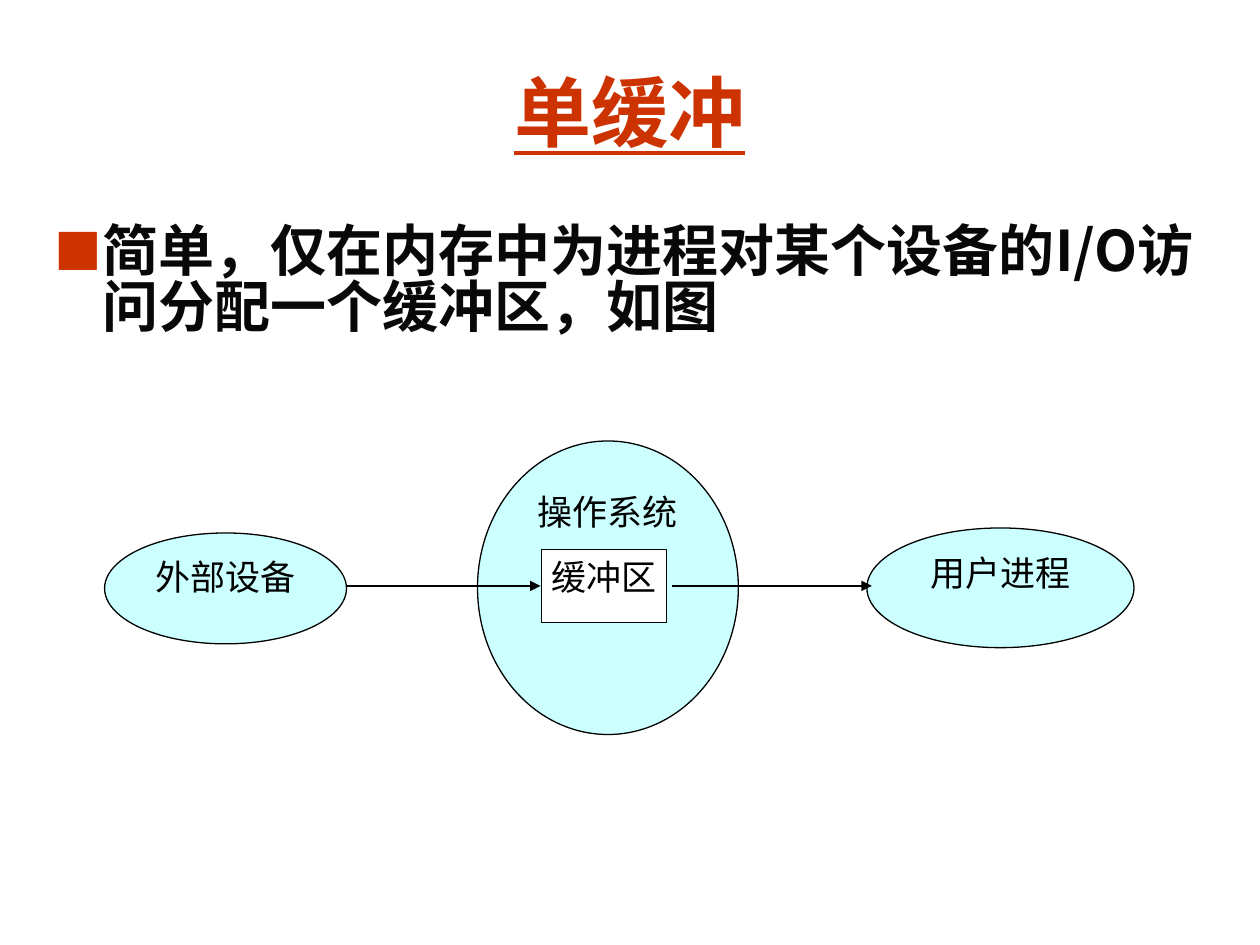
from lxml.etree import SubElement
from pptx import Presentation
from pptx.dml.color import RGBColor
from pptx.enum.shapes import MSO_CONNECTOR, MSO_SHAPE
from pptx.enum.text import MSO_ANCHOR, MSO_AUTO_SIZE, PP_ALIGN
from pptx.oxml.ns import qn
from pptx.util import Inches, Pt

COLORS = {
    "accent": "CC3300",
    "body": "080808",
    "node": "CCFFFF",
    "buffer": "FFFFFF",
    "ink": "000000",
}
CJK_FONT = "Noto Sans CJK SC"


def color(name):
    return RGBColor.from_string(COLORS[name])


class SlideBuilder:
    def __init__(self, deck):
        self.page = deck.slides.add_slide(deck.slide_layouts[1])

    def place(self, box, left, top, width, height):
        box.left, box.top = Inches(left), Inches(top)
        box.width, box.height = Inches(width), Inches(height)

    def style(self, para, size, ink, font=CJK_FONT, bold=False, underline=False):
        for span in para.runs:
            span.font.size = Pt(size)
            span.font.bold = bold
            span.font.underline = underline
            span.font.color.rgb = color(ink)
            span.font.name = font
            SubElement(span.font._element, qn("a:ea"), typeface=CJK_FONT)

    def title(self, text, *bounds):
        box = self.page.shapes.title
        self.place(box, *bounds)
        frame = box.text_frame
        frame.text = text
        frame.auto_size = MSO_AUTO_SIZE.NONE
        frame.vertical_anchor = MSO_ANCHOR.MIDDLE
        para = frame.paragraphs[0]
        para.alignment = PP_ALIGN.CENTER
        self.style(para, 44, "accent", font="Arial", bold=True, underline=True)

    def bullet(self, text, *bounds):
        box = self.page.placeholders[1]
        self.place(box, *bounds)
        frame = box.text_frame
        frame.text = text
        frame.auto_size = MSO_AUTO_SIZE.NONE
        para = frame.paragraphs[0]
        para.line_spacing = 0.83
        para.space_before = Pt(0)
        properties = para._p.get_or_add_pPr()
        properties.set("marL", str(Inches(0.38)))
        properties.set("indent", str(-Inches(0.38)))
        bullet_color = SubElement(properties, qn("a:buClr"))
        SubElement(bullet_color, qn("a:srgbClr"), val=COLORS["accent"])
        SubElement(properties, qn("a:buSzPct"), val="85000")
        SubElement(properties, qn("a:buFont"), typeface=CJK_FONT)
        SubElement(properties, qn("a:buChar"), char="■")
        self.style(para, 32, "body", bold=True)

    def node(self, kind, text, fill, *bounds, side_inset=0.1):
        box = self.page.shapes.add_shape(kind, *map(Inches, bounds))
        box.shadow.inherit = False
        box.fill.solid()
        box.fill.fore_color.rgb = color(fill)
        box.line.color.rgb = color("ink")
        box.line.width = Pt(0.75)
        frame = box.text_frame
        frame.text = text
        frame.word_wrap = True
        frame.vertical_anchor = MSO_ANCHOR.TOP
        frame.margin_left = frame.margin_right = Inches(side_inset)
        para = frame.paragraphs[0]
        para.alignment = PP_ALIGN.CENTER
        self.style(para, 20, "ink")

    def arrow(self, start, end, level):
        line = self.page.shapes.add_connector(
            MSO_CONNECTOR.STRAIGHT,
            Inches(start), Inches(level), Inches(end), Inches(level),
        )
        line.line.color.rgb = color("ink")
        line.line.width = Pt(0.75)
        SubElement(line.line._get_or_add_ln(), qn("a:tailEnd"), type="triangle")
        SubElement(line._element.spPr, qn("a:effectLst"))


def main():
    deck = Presentation()
    deck.slide_width, deck.slide_height = Inches(10), Inches(7.5)
    slide = SlideBuilder(deck)
    slide.title("单缓冲", 0.33, 0.25, 9.34, 1.25)
    slide.bullet(
        "简单，仅在内存中为进程对某个设备的I/O访问分配一个缓冲区，如图",
        0.33, 1.75, 9.34, 4.92,
    )
    for text, *bounds in (
        ("操作系统", 3.79, 3.5, 2.07, 2.33),
        ("外部设备", 0.83, 4.23, 1.92, 0.88),
        ("用户进程", 6.88, 4.19, 2.12, 0.95),
    ):
        slide.node(MSO_SHAPE.OVAL, text, "node", *bounds)
    slide.node(
        MSO_SHAPE.RECTANGLE, "缓冲区", "buffer",
        4.3, 4.36, 0.99, 0.58, side_inset=0.02,
    )
    for start, end in ((2.75, 4.29), (5.33, 6.92)):
        slide.arrow(start, end, 4.65)
    deck.save("out.pptx")


if __name__ == "__main__":
    main()
